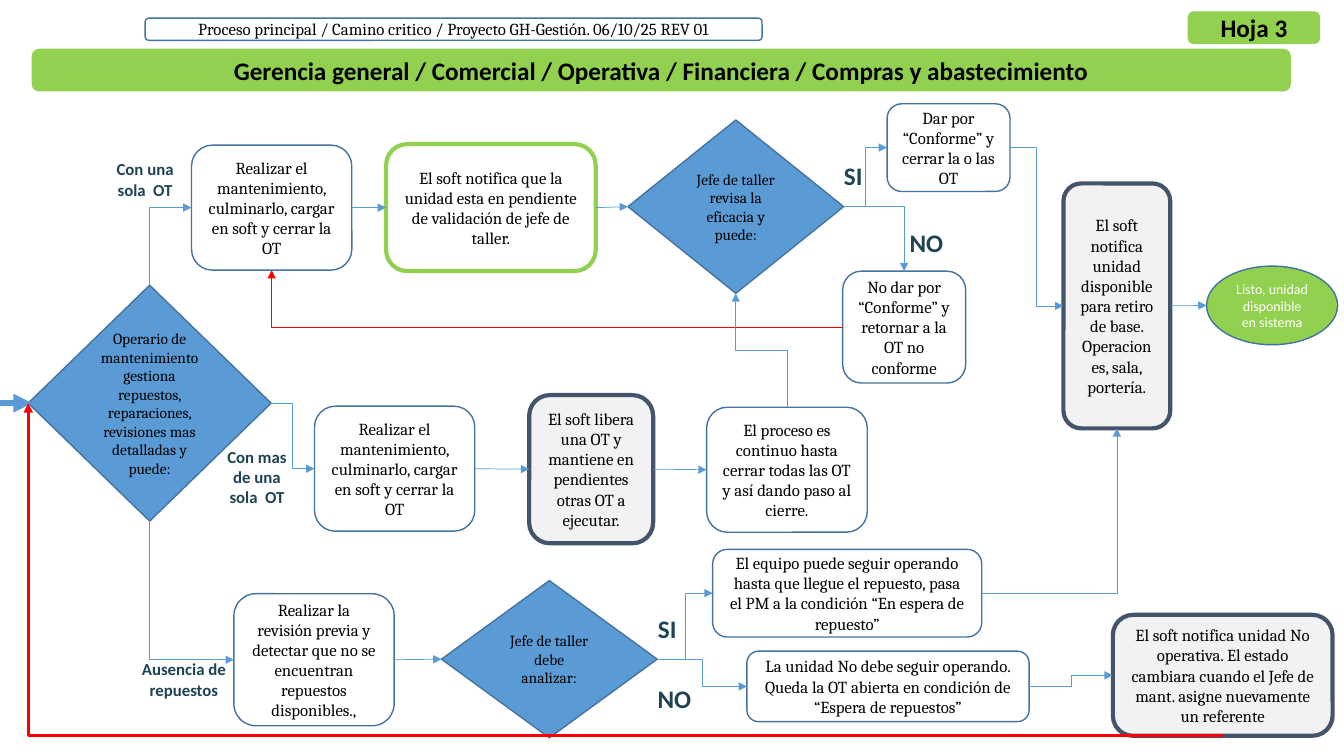
from dataclasses import dataclass
from lxml import etree
from pptx import Presentation
from pptx.dml.color import RGBColor
from pptx.enum.shapes import MSO_CONNECTOR, MSO_SHAPE
from pptx.enum.text import MSO_ANCHOR, MSO_AUTO_SIZE, PP_ALIGN
from pptx.oxml.ns import qn
from pptx.util import Inches, Pt

ROUND = MSO_SHAPE.ROUNDED_RECTANGLE
RHOMB = MSO_SHAPE.DIAMOND
OVAL = MSO_SHAPE.OVAL
DIRECT, ELBOW = MSO_CONNECTOR.STRAIGHT, MSO_CONNECTOR.ELBOW
MIDDLE, CENTER = MSO_ANCHOR.MIDDLE, PP_ALIGN.CENTER
FIXED, GROW = MSO_AUTO_SIZE.NONE, MSO_AUTO_SIZE.SHAPE_TO_FIT_TEXT
TOP, LEFT, BOTTOM, RIGHT = range(4)
TITLE_ONLY = 5
QUARTER = "5400000"
COLS, ROWS = 133.33, 75
CELL = Inches(0.1)


@dataclass(frozen=True)
class Theme:
    blue: str = "5B9BD5"
    edge: str = "43739E"
    green: str = "92D050"
    gray: str = "F2F2F2"
    slate: str = "44546A"
    red: str = "FF0000"
    black: str = "000000"
    white: str = "FFFFFF"
    teal: str = "1D4355"
    serif: str = "Cambria"
    sans: str = "Calibri"
    tiny: float = 10
    small: float = 11
    body: float = 12
    head: float = 18
    thin: float = 0.5
    fine: float = 1
    bold: float = 2.25
    thick: float = 3
    heavy: float = 4.5


T = Theme()


@dataclass(frozen=True)
class Font:
    face: str = T.serif
    size: float = T.body
    color: str = T.black
    bold: bool = False


@dataclass(frozen=True)
class Look:
    form: int = ROUND
    fill: str = ""
    edge: str = T.edge
    width: float = T.fine
    font: Font = Font()


@dataclass(frozen=True)
class Node:
    key: str
    col: float
    row: float
    wide: float
    high: float
    text: str
    look: Look


@dataclass(frozen=True)
class Label:
    col: float
    row: float
    wide: float
    high: float
    text: str
    size: float = T.body


@dataclass(frozen=True)
class Link:
    start: str
    out: int
    end: str
    into: int
    color: str = T.blue
    width: float = T.thin


HEAD = Font(T.sans, T.head, bold=True)
STEP = Look()
BAR = Look(fill=T.green, edge=T.green, font=HEAD)
ALERT = Look(edge=T.green, width=T.thick)
NOTICE = Look(fill=T.gray, edge=T.slate, width=T.thick)
CHOICE = Look(RHOMB, T.blue, font=Font(size=T.small))
FINISH = Look(OVAL, T.green, font=Font(T.sans, T.tiny, T.white))

REPAIR = "Realizar el mantenimiento, culminarlo, cargar en soft y cerrar la OT"
TITLE = "Gerencia general / Comercial / Operativa / Financiera / Compras y abastecimiento"
NODES = [
    Node("worker", 2.8, 28.3, 24.1, 23.4, "Operario de mantenimiento gestiona repuestos, "
         "reparaciones, revisiones mas detalladas y puede:", CHOICE),
    Node("banner", 3.2, 4.9, 124.8, 4.1, "", BAR),
    Node("process", 14.4, 1.8, 61.2, 2.2,
         "Proceso principal / Camino critico / Proyecto GH-Gestión. 06/10/25 REV 01", STEP),
    Node("sheet", 117.9, 1.2, 13, 3.1, "Hoja 3", BAR),
    Node("single", 19, 14.4, 15.9, 12.4, REPAIR, STEP),
    Node("pending", 38.3, 14.3, 20.8, 12.6, "El soft notifica que la unidad esta en "
         "pendiente de validación de jefe de taller.", ALERT),
    Node("review", 62.3, 11.9, 21.4, 17.2, "Jefe de taller revisa la eficacia y puede:", CHOICE),
    Node("accept", 88, 10.3, 12.2, 8.7, "Dar por “Conforme” y cerrar la o las OT", STEP),
    Node("ready", 105.5, 18.2, 10.6, 24.3, "El soft notifica unidad disponible para retiro "
         "de base. Operaciones, sala, portería.", NOTICE),
    Node("done", 119.7, 26.4, 13, 7.8, "Listo, unidad disponible en sistema", FINISH),
    Node("reject", 83.6, 26.9, 12.2, 11.1,
         "No dar por “Conforme” y retornar a la OT no conforme", STEP),
    Node("multi", 31.2, 40.3, 15.9, 12.4, REPAIR, STEP),
    Node("release", 52.5, 39.2, 12.3, 14.7, "El soft libera una OT y mantiene en pendientes "
         "otras OT a ejecutar.", NOTICE),
    Node("repeat", 70.1, 40.4, 15.94, 12.4, "El proceso es continuo hasta cerrar todas las OT "
         "y así dando paso al cierre.", STEP),
    Node("missing", 23.2, 58.9, 15.9, 13.1, "Realizar la revisión previa y detectar que no se "
         "encuentran repuestos disponibles.,", STEP),
    Node("assess", 43.8, 57.6, 21.4, 15.6, "Jefe de taller debe analizar:", CHOICE),
    Node("run", 70.7, 54.5, 26.7, 8.7, "El equipo puede seguir operando hasta que llegue el "
         "repuesto, pasa el PM a la condición “En espera de repuesto”", STEP),
    Node("stop", 74.1, 64.6, 28, 7, "La unidad No debe seguir operando. Queda la OT abierta "
         "en condición de “Espera de repuestos”", STEP),
    Node("blocked", 110.4, 61, 21.8, 12, "El soft notifica unidad No operativa. El estado "
         "cambiara cuando el Jefe de mant. asigne nuevamente un referente", NOTICE),
]
LABELS = [
    Label(9.6, 15.3, 9.6, 5, "Con una sola  OT"),
    Label(20.7, 43.8, 9.6, 7.1, "Con mas de una sola  OT"),
    Label(11.6, 64.9, 13.3, 5, "Ausencia de repuestos"),
    Label(82, 15.4, 5.3, 4, "SI", T.head),
    Label(88.8, 22.1, 6.2, 4, "NO", T.head),
    Label(63.5, 60.4, 5.4, 4, "SI", T.head),
    Label(63.8, 67.3, 6.2, 4, "NO", T.head),
]
LINES = [
    Link("single", RIGHT, "pending", LEFT),
    Link("pending", RIGHT, "review", LEFT),
    Link("multi", RIGHT, "release", LEFT),
    Link("release", RIGHT, "repeat", LEFT),
    Link("missing", RIGHT, "assess", LEFT),
]
BENDS = [
    Link("worker", TOP, "single", LEFT),
    Link("worker", RIGHT, "multi", LEFT),
    Link("worker", BOTTOM, "missing", LEFT),
    Link("review", RIGHT, "accept", LEFT),
    Link("review", RIGHT, "reject", TOP),
    Link("accept", RIGHT, "ready", LEFT),
    Link("reject", LEFT, "single", BOTTOM, T.red),
    Link("repeat", TOP, "review", BOTTOM),
    Link("assess", RIGHT, "run", LEFT),
    Link("assess", RIGHT, "stop", LEFT),
    Link("run", RIGHT, "ready", BOTTOM),
    Link("stop", RIGHT, "blocked", LEFT),
]


def grid(*cells: float) -> list[int]:
    return [round(n * CELL) for n in cells]


def write(shape, text: str, font: Font) -> None:
    frame = shape.text_frame
    frame.word_wrap = True
    para = frame.paragraphs[0]
    para.alignment = CENTER
    run = para.add_run()
    run.text = text
    run.font.name, run.font.size, run.font.bold = font.face, Pt(font.size), font.bold
    run.font.color.rgb = RGBColor.from_string(font.color)


def add_node(slide, node: Node):
    look = node.look
    shape = slide.shapes.add_shape(look.form, *grid(node.col, node.row, node.wide, node.high))
    shape.shadow.inherit = False
    if look.fill:
        shape.fill.solid()
        shape.fill.fore_color.rgb = RGBColor.from_string(look.fill)
    else:
        shape.fill.background()
    shape.line.color.rgb = RGBColor.from_string(look.edge)
    shape.line.width = Pt(look.width)
    if node.text:
        shape.text_frame.vertical_anchor = MIDDLE
        write(shape, node.text, look.font)
    return shape


def add_title(slide, bar) -> None:
    title = slide.shapes.title
    title.left, title.top, title.width, title.height = bar.left, bar.top, bar.width, bar.height
    title.text_frame.vertical_anchor, title.text_frame.auto_size = MIDDLE, FIXED
    write(title, TITLE, HEAD)
    bar._element.addnext(title._element)


def add_label(slide, label: Label) -> None:
    box = slide.shapes.add_textbox(*grid(label.col, label.row, label.wide, label.high))
    box.text_frame.auto_size = GROW
    write(box, label.text, Font(T.sans, label.size, T.teal, True))


def add_line(slide, kind: int, ends: list[int], color: str, width: float, tip: bool = True):
    line = slide.shapes.add_connector(kind, *ends)
    line.line.color.rgb = RGBColor.from_string(color)
    line.line.width = Pt(width)
    if tip:
        etree.SubElement(line.line._get_or_add_ln(), qn("a:tailEnd"), type="triangle")
    etree.SubElement(line._element.spPr, qn("a:effectLst"))
    return line


def join(slide, kind: int, link: Link, nodes: dict):
    line = add_line(slide, kind, [0, 0, 0, 0], link.color, link.width)
    line.begin_connect(nodes[link.start], link.out)
    line.end_connect(nodes[link.end], link.into)
    return line


def bend(slide, link: Link, nodes: dict) -> None:
    line = join(slide, ELBOW, link, nodes)
    props = line._element.spPr
    if link.out % 2 != link.into % 2:
        props.find(qn("a:prstGeom")).set("prst", "bentConnector2")
    if link.out in (TOP, BOTTOM):
        right, up = line.end_x > line.begin_x, line.end_y < line.begin_y
        wide, high = line.width, line.height
        line.left += (wide - high) // 2
        line.top += (high - wide) // 2
        line.width, line.height = high, wide
        frame = props.find(qn("a:xfrm"))
        frame.set("rot", QUARTER)
        frame.set("flipH", str(int(up)))
        frame.set("flipV", str(int(right)))


def add_loop(slide, start, end) -> None:
    x, y = end.left, start.top + start.height
    base = add_line(slide, DIRECT, [start.left + start.width // 2, y, x, y], T.red, T.bold, False)
    base.begin_connect(start, BOTTOM)
    rise = add_line(slide, DIRECT, [x, y, x, end.top + end.height // 2], T.red, T.bold)
    rise.end_connect(end, LEFT)


def main() -> None:
    deck = Presentation()
    deck.slide_width, deck.slide_height = grid(COLS, ROWS)
    slide = deck.slides.add_slide(deck.slide_layouts[TITLE_ONLY])
    nodes = {node.key: add_node(slide, node) for node in NODES}
    add_title(slide, nodes["banner"])
    for link in LINES:
        join(slide, DIRECT, link, nodes)
    for link in BENDS:
        bend(slide, link, nodes)
    leave = add_line(slide, DIRECT, grid(116.1, 30.3, 119.7, 30.3), T.blue, T.thin)
    leave.begin_connect(nodes["ready"], RIGHT)
    add_line(slide, DIRECT, grid(0, 40, 3.2, 40), T.blue, T.heavy)
    for label in LABELS:
        add_label(slide, label)
    add_loop(slide, nodes["blocked"], nodes["worker"])
    deck.save("out.pptx")


if __name__ == "__main__":
    main()
